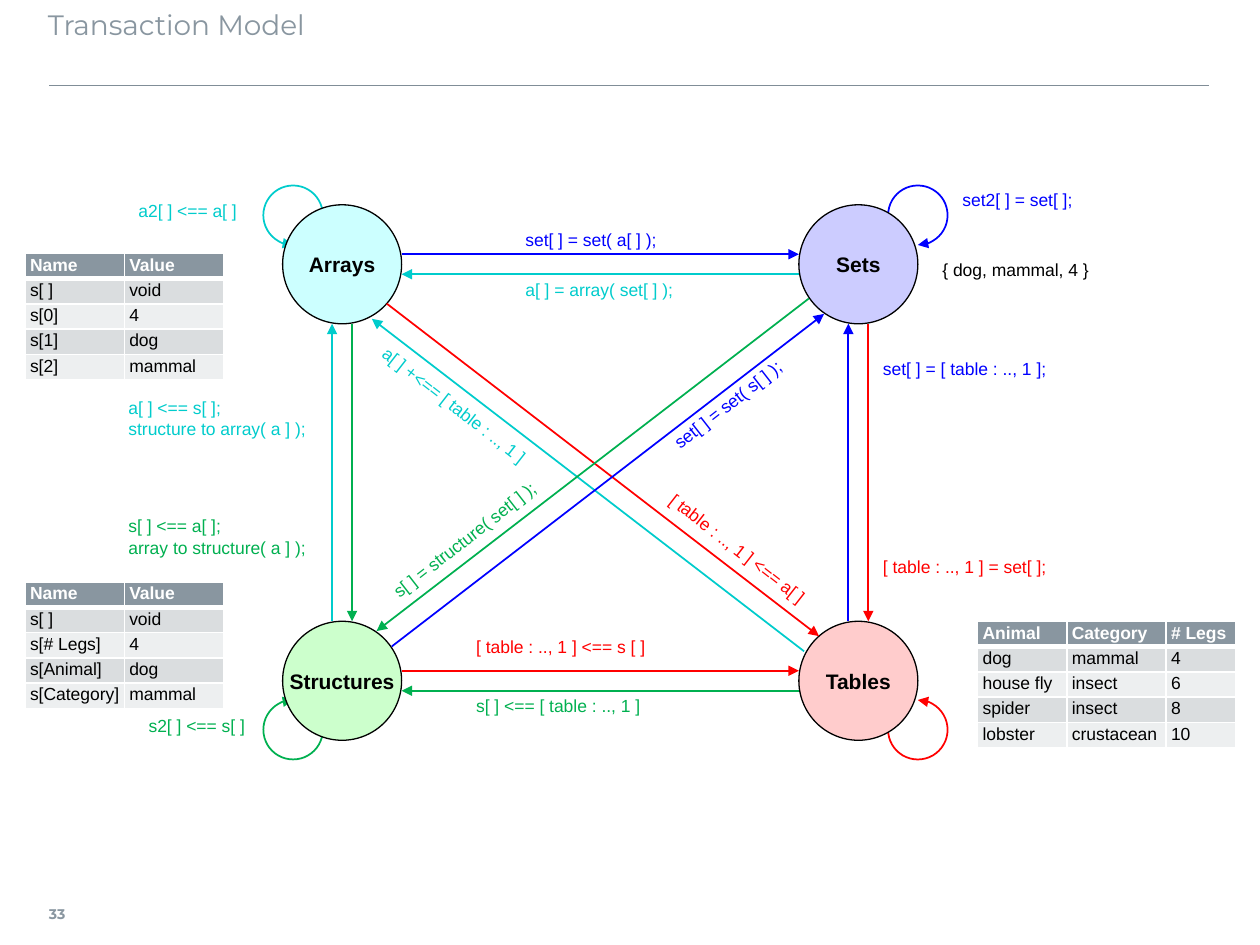
from dataclasses import dataclass

from pptx import Presentation
from pptx.dml.color import RGBColor
from pptx.enum.shapes import MSO_CONNECTOR, MSO_SHAPE
from pptx.enum.text import MSO_ANCHOR, PP_ALIGN
from pptx.oxml.ns import qn
from pptx.oxml.xmlchemy import OxmlElement
from pptx.util import Pt

STRAIGHT = MSO_CONNECTOR.STRAIGHT
ELLIPSE, ARC = MSO_SHAPE.OVAL, MSO_SHAPE.ARC
TOP, MIDDLE = MSO_ANCHOR.TOP, MSO_ANCHOR.MIDDLE
LEFT, CENTER = PP_ALIGN.LEFT, PP_ALIGN.CENTER


@dataclass(frozen=True)
class Theme:
    body_font: str = "Arial"
    heading_font: str = "Montserrat"
    title_size: float = 16
    node_size: float = 12
    body_size: float = 10
    number_size: float = 8
    grey: str = "8996A0"
    rule: str = "808D97"
    black: str = "000000"
    white: str = "FFFFFF"
    bands: tuple = ("DADDDF", "EDEFF0")
    array: str = "00CCCC"
    set: str = "0000FF"
    structure: str = "00B050"
    table: str = "FF0000"


THEME = Theme()
NODE = 68      # circle diameter
LOOP = 34      # self-arrow diameter
LANE = 5.7     # offset of paired arrows from the centre line


def rgb(value):
    return RGBColor.from_string(value)


def set_values(target, values):
    for name, value in values.items():
        setattr(target, name, value)


def write(frame, text, color, size=THEME.body_size, font=THEME.body_font,
          bold=False, align=LEFT):
    frame.text = text
    for paragraph in frame.paragraphs:
        paragraph.alignment = align
        set_values(paragraph.font, {"name": font, "size": Pt(size), "bold": bold})
        paragraph.font.color.rgb = rgb(color)


def format_frame(frame, margins, anchor=MIDDLE, wrap=False):
    left, top, right, bottom = margins
    set_values(frame, {
        "margin_left": Pt(left), "margin_top": Pt(top),
        "margin_right": Pt(right), "margin_bottom": Pt(bottom),
        "vertical_anchor": anchor, "word_wrap": wrap,
    })


def add_text(slide, box, text, color, margins=(2.8,) * 4, anchor=MIDDLE,
             wrap=False, **font):
    shape = slide.shapes.add_textbox(*map(Pt, box))
    format_frame(shape.text_frame, margins, anchor, wrap)
    write(shape.text_frame, text, color, **font)
    return shape


def add_arrowhead(shape, end="tailEnd"):
    head = OxmlElement(f"a:{end}")
    head.set("type", "triangle")
    shape.element.spPr.find(qn("a:ln")).append(head)


def add_line(slide, start, end, color, arrow=True):
    connector = slide.shapes.add_connector(STRAIGHT, *map(Pt, (*start, *end)))
    connector.line.color.rgb = rgb(color)
    connector.line.width = Pt(1)
    if arrow:
        add_arrowhead(connector)
    connector.element.spPr.append(OxmlElement("a:effectLst"))


def add_loop(slide, left, top, color, start, end, arrow_end):
    shape = slide.shapes.add_shape(ARC, Pt(left), Pt(top), Pt(LOOP), Pt(LOOP))
    shape.shadow.inherit = False
    for index, degrees in enumerate((start, end)):
        shape.adjustments[index] = degrees * 0.6  # 60000 units per degree
    shape.fill.background()
    shape.line.color.rgb = rgb(color)
    shape.line.width = Pt(1)
    add_arrowhead(shape, arrow_end)


def add_node(slide, left, top, name, fill):
    shape = slide.shapes.add_shape(ELLIPSE, Pt(left), Pt(top), Pt(NODE), Pt(NODE))
    shape.shadow.inherit = False
    shape.fill.solid()
    shape.fill.fore_color.rgb = rgb(fill)
    shape.line.color.rgb = rgb(THEME.black)
    shape.line.width = Pt(0.75)
    format_frame(shape.text_frame, (2.8,) * 4)
    write(shape.text_frame, name, THEME.black, THEME.node_size, bold=True, align=CENTER)


def add_heading(slide, box, title):
    left, top, width, height = box
    add_text(slide, (left, top, width, 45), title, THEME.grey, (0, 3.6, 7.2, 3.6),
             TOP, True, size=THEME.title_size, font=THEME.heading_font)
    rule_y = top + height
    add_line(slide, (left + 0.7, rule_y), (left + width + 0.7, rule_y), THEME.rule, False)


def add_footer(slide, box, number):
    add_text(slide, box, number, THEME.grey, (0, 3.6, 5.8, 3.6),
             size=THEME.number_size, font=THEME.heading_font, bold=True)


def add_diagram(slide, box):
    left, top, width, height = box
    far_x, far_y = width - NODE, height - NODE
    middle = NODE / 2
    array, sets, structure, table = THEME.array, THEME.set, THEME.structure, THEME.table

    # Self-arrows: position, colour, arc angles, arrow end
    for x, y, *style in (
        (-11, -11, array, 90, 0, "headEnd"),
        (far_x + 51, -11, sets, 180, 90, "tailEnd"),
        (-11, far_y + 45, structure, 0, 270, "tailEnd"),
        (far_x + 51, far_y + 45, table, 270, 180, "headEnd"),
    ):
        add_loop(slide, left + x, top + y, *style)

    # Paired arrows along the four sides
    for row, forward, back in ((0, sets, array), (far_y, table, structure)):
        for offset, color, ends in ((-LANE, forward, (NODE, far_x)),
                                    (LANE, back, (far_x, NODE))):
            y = top + row + middle + offset
            add_line(slide, (left + ends[0], y), (left + ends[1], y), color)
    for column, up, down in ((0, array, structure), (far_x, sets, table)):
        for offset, color, ends in ((-LANE, up, (far_y, NODE)),
                                    (LANE, down, (NODE, far_y))):
            x = left + column + middle + offset
            add_line(slide, (x, top + ends[0]), (x, top + ends[1]), color)

    # Circles
    for x, y, name, fill in (
        (0, far_y, "Structures", "CCFFCC"), (far_x, far_y, "Tables", "FFCCCC"),
        (far_x, 0, "Sets", "CCCCFF"), (0, 0, "Arrays", "CCFFFF"),
    ):
        add_node(slide, left + x, top + y, name, fill)

    # Diagonal arrows: start and direction
    for x, y, across, down, color in (
        (298, 255.2, -1, -1, array), (59.5, 56.5, 1, 1, table),
        (300.7, 53.6, -1, 1, structure), (62.4, 252.4, 1, -1, sets),
    ):
        start = (left + x, top + y)
        add_line(slide, start, (start[0] + across * 247, start[1] + down * 190), color)

    # Labels: position, width, rotation, colour, text
    for x, y, label_width, rotation, color, text in (
        (340.3, 85.3, 113, 0, sets, "set[ ] = [ table : .., 1 ];"),
        (374.2, 28.4, 96, 0, THEME.black, "{ dog, mammal, 4 }"),
        (340.3, 198.4, 113, 0, table, "[ table : .., 1 ] = set[ ];"),
        (107.8, 243.7, 113, 0, table, "[ table : .., 1 ] <== s [ ]"),
        (107.8, 277.6, 113, 0, structure, "s[ ] <== [ table : .., 1 ]"),
        (44.4, 108.4, 113, 38, array, "a[ ] +<== [ table : .., 1 ]"),
        (135.9, 11.2, 113, 0, sets, "set[ ] = set( a[ ] );"),
        (135.9, 40, 113, 0, array, "a[ ] = array( set[ ] );"),
        (-90.9, 113.4, 113, 0, array, "a[ ] <== s[ ];\nstructure to array( a ] );"),
        (-90.9, 181.1, 113, 0, structure, "s[ ] <== a[ ];\narray to structure( a ] );"),
        (208.6, 191.9, 113, 38, table, "[ table : .., 1 ] <== a[ ]"),
        (50.2, 180.4, 113, -38, structure, "s[ ] = structure( set[ ] );"),
        (210.7, 95.4, 113, -38, sets, "set[ ] = set( s[ ] );"),
        (-85.2, -5.4, 68, 0, array, "a2[ ] <== a[ ]"),
        (-79.4, 289.1, 68, 0, structure, "s2[ ] <== s[ ]"),
        (385.7, -11.2, 113, 0, sets, "set2[ ] = set[ ];"),
    ):
        shape = add_text(slide, (left + x, top + y, label_width, 17), text, color)
        shape.rotation = rotation


def add_borders(cell, widths):
    properties = cell._tc.get_or_add_tcPr()
    for side, width in widths.items():
        border = OxmlElement(f"a:ln{side}")
        border.set("w", str(Pt(width)))
        fill, color = OxmlElement("a:solidFill"), OxmlElement("a:srgbClr")
        color.set("val", THEME.white)
        fill.append(color)
        border.append(fill)
        properties.append(border)


def add_value_table(slide, box, columns, rows):
    frame = slide.shapes.add_table(len(rows), len(columns), *map(Pt, box))
    table = frame.table
    for column, width in zip(table.columns, columns):
        column.width = Pt(width)
    for r, values in enumerate(rows):
        table.rows[r].height = Pt(box[3] / len(rows))
        header = r == 0
        for c, value in enumerate(values):
            cell = table.cell(r, c)
            set_values(cell, {"margin_left": Pt(2.8), "margin_right": Pt(2.8),
                              "margin_top": Pt(1.2), "margin_bottom": Pt(1.2)})
            add_borders(cell, {"L": 1, "R": 1, "T": 3 if r == 1 else 1,
                               "B": 3 if header else 1})
            cell.fill.solid()
            cell.fill.fore_color.rgb = rgb(THEME.grey if header else THEME.bands[(r - 1) % 2])
            write(cell.text_frame, value, THEME.white if header else THEME.black, bold=header)


def main():
    presentation = Presentation()
    presentation.slide_width, presentation.slide_height = Pt(720), Pt(540)
    slide = presentation.slides.add_slide(presentation.slide_layouts[6])

    add_heading(slide, (27.4, 0.7, 663, 48.2), "Transaction Model")
    add_footer(slide, (28, 508.3, 25, 28), "33")
    add_diagram(slide, (161.5, 117, 363, 306))

    pair, triple = (56.7, 56.7), (51, 56.7, 39.6)
    for left, top, columns, rows in (
        (558.7, 355, triple, (("Animal", "Category", "# Legs"), ("dog", "mammal", "4"),
                              ("house fly", "insect", "6"), ("spider", "insect", "8"),
                              ("lobster", "crustacean", "10"))),
        (14.4, 332.6, pair, (("Name", "Value"), ("s[ ]", "void"), ("s[# Legs]", "4"),
                             ("s[Animal]", "dog"), ("s[Category]", "mammal"))),
        (14.4, 144.8, pair, (("Name", "Value"), ("s[ ]", "void"), ("s[0]", "4"),
                             ("s[1]", "dog"), ("s[2]", "mammal"))),
    ):
        add_value_table(slide, (left, top, sum(columns), 69.5), columns, rows)

    presentation.save("out.pptx")


if __name__ == "__main__":
    main()
